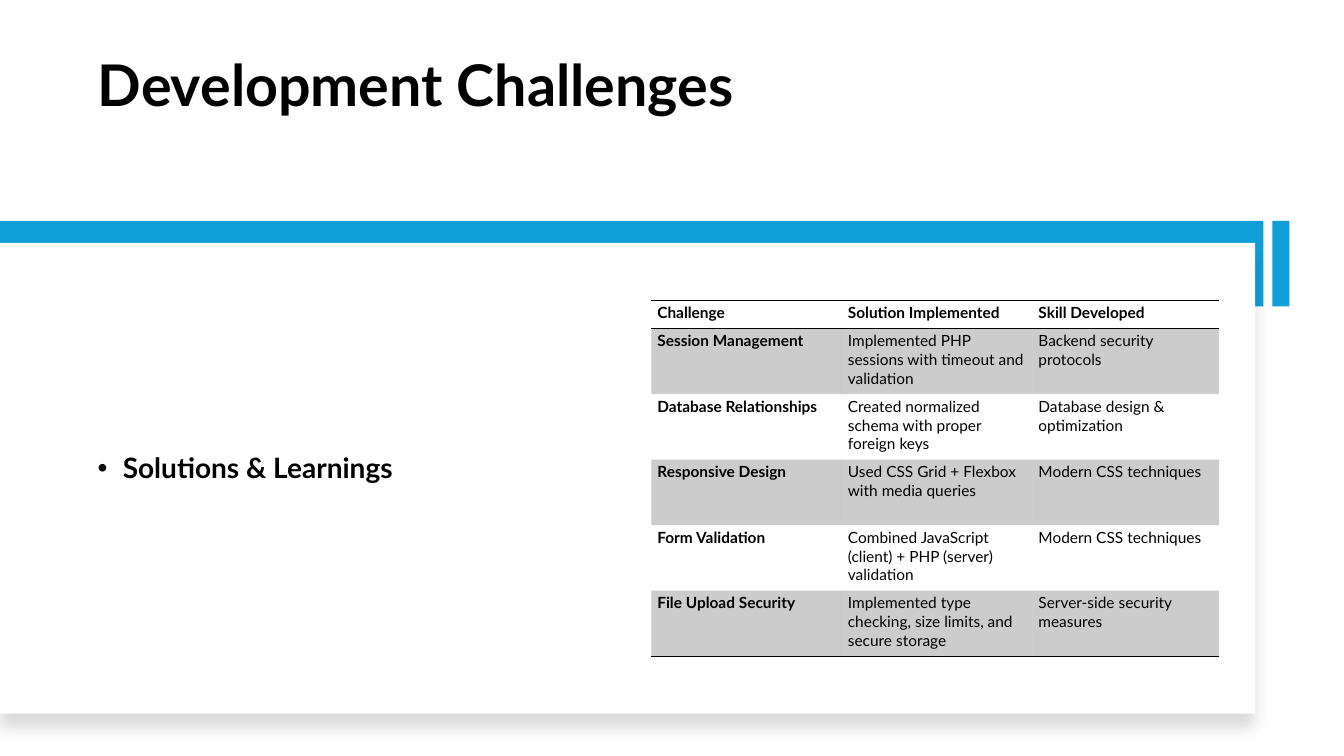
import pptx
import pptx.util
import pptx.dml.color
import pptx.enum.dml
import pptx.enum.shapes
import pptx.enum.text
import pptx.oxml
import pptx.oxml.ns

HEADING = "Development Challenges"
SUBHEADING = "Solutions & Learnings"
CHALLENGES = [
    ("Challenge", "Solution Implemented", "Skill Developed"),
    ("Session Management", "Implemented PHP sessions with timeout and validation",
     "Backend security protocols"),
    ("Database Relationships", "Created normalized schema with proper foreign keys",
     "Database design & optimization"),
    ("Responsive Design", "Used CSS Grid + Flexbox with media queries",
     "Modern CSS techniques"),
    ("Form Validation", "Combined JavaScript (client) + PHP (server) validation",
     "Modern CSS techniques"),
    ("File Upload Security", "Implemented type checking, size limits, and secure storage",
     "Server-side security measures"),
]

FONT, BLACK, WHITE, BLUE = "Lato", "000000", "FFFFFF", "0F9ED5"
WIDTH, HEIGHT = 13.33, 7.5
LEFT, BAND_TOP, BAND_HEIGHT = 0.87, 2.19, 0.85
TABLE_LEFT, TABLE_TOP = 6.46, 2.98
COLUMNS = (1.89, 1.89, 1.85)
ROWS = (0.28,) + (0.65,) * 5
PANELS = [
    (0, BAND_TOP, 12.53, BAND_HEIGHT, BLUE),
    (0, 2.41, 12.45, 4.67, WHITE),
    (12.62, BAND_TOP, 0.17, BAND_HEIGHT, BLUE),
]
HEADING_FRAME = {
    "margin_top": pptx.util.Inches(0.14),
    "vertical_anchor": pptx.enum.text.MSO_ANCHOR.TOP,
}
SUBHEADING_FRAME = {
    "margin_bottom": pptx.util.Inches(0.39),
    "vertical_anchor": pptx.enum.text.MSO_ANCHOR.MIDDLE,
}
CELL_MARGINS = {
    "margin_left": pptx.util.Inches(0.06),
    "margin_right": pptx.util.Inches(0.06),
    "margin_top": pptx.util.Inches(0.03),
    "margin_bottom": pptx.util.Inches(0.03),
}
NO_TABLE_STYLE = "{2D5ABB26-0587-4C30-8999-92F81FD0307C}"
NAMESPACE = pptx.oxml.ns.nsdecls("a")


def color(value):
    return pptx.dml.color.RGBColor.from_string(value)


def inches(*lengths):
    return [pptx.util.Inches(length) for length in lengths]


def apply(target, values):
    for name, value in values.items():
        setattr(target, name, value)


def write(frame, text, size, bold):
    paragraph = frame.paragraphs[0]
    paragraph.alignment = pptx.enum.text.PP_ALIGN.LEFT
    run = paragraph.add_run()
    run.text = text
    apply(run.font, {"name": FONT, "size": pptx.util.Pt(size), "bold": bold})
    run.font.color.rgb = color(BLACK)
    return paragraph


def write_block(frame, text, size, values):
    apply(frame, {"word_wrap": True, "auto_size": pptx.enum.text.MSO_AUTO_SIZE.NONE})
    apply(frame, values)
    paragraph = write(frame, text, size, True)
    paragraph.line_spacing = 0.9
    return paragraph


def add_panel(slide, left, top, width, height, fill):
    panel = slide.shapes.add_shape(
        pptx.enum.shapes.MSO_SHAPE.RECTANGLE, *inches(left, top, width, height))
    panel.shadow.inherit = False
    panel.fill.solid()
    panel.fill.fore_color.rgb = color(fill)
    panel.line.fill.background()
    return panel


def add_shadow(panel):
    effects = panel.element.spPr.find(pptx.oxml.ns.qn("a:effectLst"))
    effects.append(pptx.oxml.parse_xml(
        f'<a:outerShdw {NAMESPACE} blurRad="{pptx.util.Pt(11)}" '
        f'dist="{pptx.util.Pt(10)}" dir="5400000" algn="t" rotWithShape="0">'
        f'<a:srgbClr val="{BLACK}"><a:alpha val="15000"/></a:srgbClr></a:outerShdw>'))


def add_bullet(paragraph):
    properties = paragraph._p.get_or_add_pPr()
    indent = pptx.util.Inches(0.25)
    properties.set("marL", str(indent))
    properties.set("indent", str(-indent))
    for markup in (f'<a:buFont {NAMESPACE} typeface="Arial"/>',
                   f'<a:buChar {NAMESPACE} char="•"/>'):
        properties.append(pptx.oxml.parse_xml(markup))


def format_cell(cell, edges, shaded):
    apply(cell, CELL_MARGINS)
    properties = cell._tc.get_or_add_tcPr()
    for edge in edges:
        properties.append(pptx.oxml.parse_xml(
            f'<a:{edge} {NAMESPACE} w="{pptx.util.Pt(1)}"><a:solidFill>'
            f'<a:srgbClr val="{BLACK}"/></a:solidFill></a:{edge}>'))
    if shaded:
        cell.fill.solid()
        cell.fill.fore_color.rgb = color(BLACK)
        shade = next(properties.find(pptx.oxml.ns.qn("a:solidFill")).iterchildren())
        shade.append(pptx.oxml.parse_xml(f'<a:alpha {NAMESPACE} val="20000"/>'))
    else:
        cell.fill.background()


def add_challenges(slide):
    frame = slide.shapes.add_table(
        len(ROWS), len(COLUMNS),
        *inches(TABLE_LEFT, TABLE_TOP, sum(COLUMNS), sum(ROWS)))
    table = frame.table
    apply(table, {"horz_banding": False, "first_row": False})
    table._tbl.tblPr.find(pptx.oxml.ns.qn("a:tableStyleId")).text = NO_TABLE_STYLE
    for column, width in zip(table.columns, inches(*COLUMNS)):
        column.width = width
    for row, height in zip(table.rows, inches(*ROWS)):
        row.height = height
    ruled = {0: ("lnT", "lnB"), len(ROWS) - 1: ("lnB",)}
    for row, entries in enumerate(CHALLENGES):
        for column, entry in enumerate(entries):
            cell = table.cell(row, column)
            write(cell.text_frame, entry, 11, row == 0 or column == 0)
            format_cell(cell, ruled.get(row, ()), row % 2 == 1)


def main():
    deck = pptx.Presentation()
    deck.slide_width, deck.slide_height = inches(WIDTH, HEIGHT)
    slide = deck.slides.add_slide(deck.slide_layouts[5])

    heading = slide.shapes.title
    apply(heading, dict(zip(("left", "top", "width", "height"),
                            inches(LEFT, 0.42, 11.01, 1.42))))
    write_block(heading.text_frame, HEADING, 41, HEADING_FRAME)

    band, card, accent = [add_panel(slide, *panel) for panel in PANELS]
    add_shadow(card)

    subheading = slide.shapes.add_textbox(*inches(LEFT, 2.84, 4.96, 3.98))
    bullet = write_block(subheading.text_frame, SUBHEADING, 20, SUBHEADING_FRAME)
    bullet.space_before = pptx.util.Pt(10)
    add_bullet(bullet)

    add_challenges(slide)
    deck.save("out.pptx")


if __name__ == "__main__":
    main()
